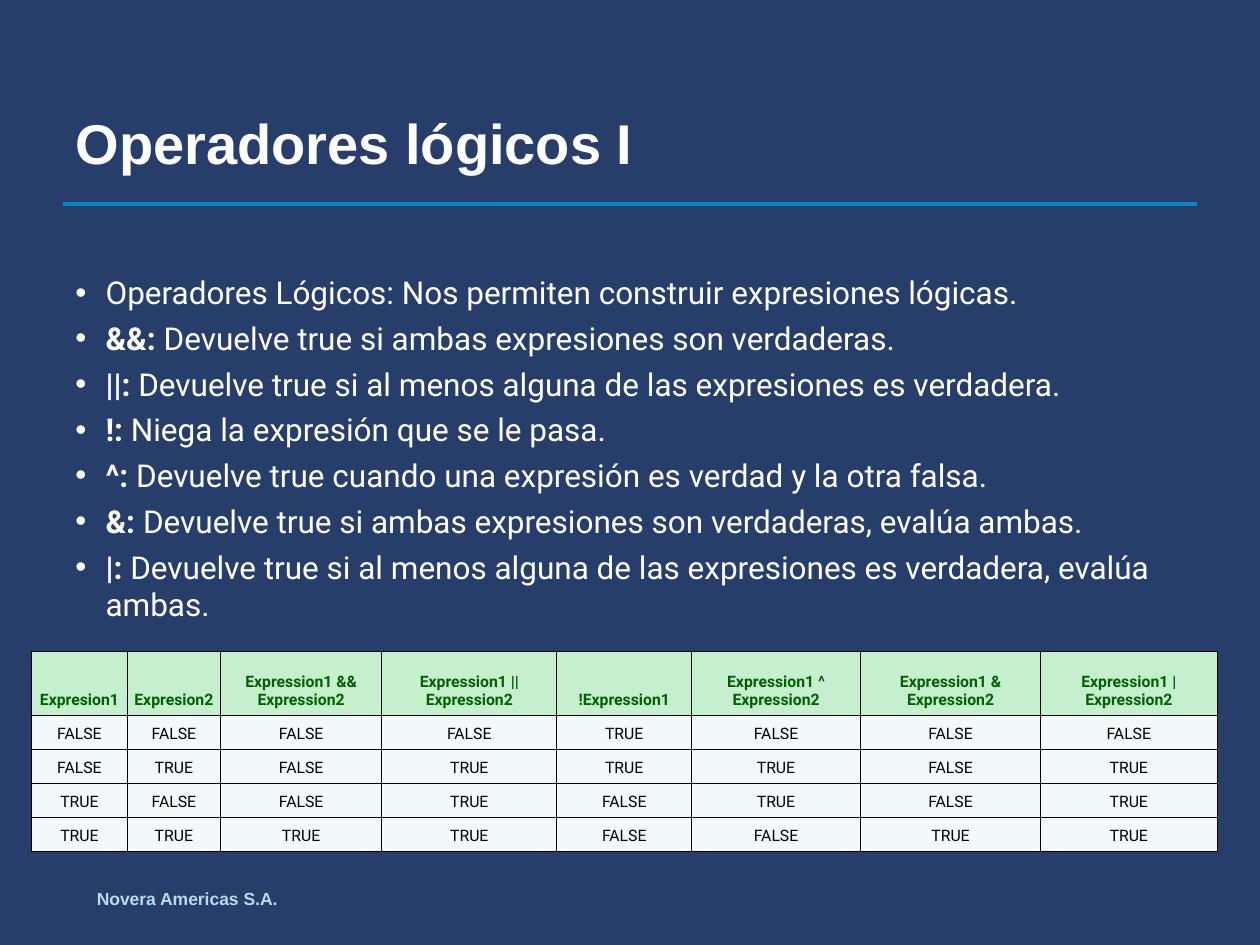
from lxml import etree
from pptx import Presentation
from pptx.dml.color import RGBColor
from pptx.enum import shapes, text
from pptx.oxml import ns
from pptx.util import Inches, Pt

OPERATORS = [
    ("", "Operadores Lógicos: Nos permiten construir expresiones lógicas."),
    ("&&: ", "Devuelve true si ambas expresiones son verdaderas."),
    ("||: ", "Devuelve true si al menos alguna de las expresiones es verdadera."),
    ("!: ", "Niega la expresión que se le pasa."),
    ("^: ", "Devuelve true cuando una expresión es verdad y la otra falsa."),
    ("&: ", "Devuelve true si ambas expresiones son verdaderas, evalúa ambas."),
    ("|: ", "Devuelve true si al menos alguna de las expresiones es verdadera, "
            "evalúa ambas."),
]
HEADERS = ["Expresion1", "Expresion2", "Expression1 && Expression2",
           "Expression1 || Expression2", "!Expression1",
           "Expression1 ^ Expression2", "Expression1 & Expression2",
           "Expression1 | Expression2"]
COL_WIDTHS = [0.76, 0.74, 1.28, 1.39, 1.07, 1.34, 1.43, 1.4]
ROW_HEIGHTS = [0.51] + [0.27] * 4


def rgb(value):
    return RGBColor.from_string(value)


def set_font(font, name, size, color, bold=False):
    font.name, font.size, font.bold = name, Pt(size), bold
    font.color.rgb = rgb(color)


def sub(parent, tag, **attrs):
    return etree.SubElement(parent, ns.qn(tag), attrs)


def add_title(s, title):
    sp = s.shapes.title
    sp.left, sp.top, sp.width, sp.height = map(Inches, (0.5, 0.5, 9, 1.25))
    tf = sp.text_frame
    tf.text = title
    tf.vertical_anchor = text.MSO_ANCHOR.MIDDLE
    p = tf.paragraphs[0]
    p.alignment = text.PP_ALIGN.LEFT
    set_font(p.font, "Arial", 32, "FFFFFF", True)


def add_rule(s):
    line = s.shapes.add_connector(shapes.MSO_CONNECTOR.STRAIGHT, Inches(0.5),
                                  Inches(1.62), Inches(9.5), Inches(1.62))
    line.line.color.rgb = rgb("0089C4")
    line.line.width = Pt(2.25)
    sub(line._element.spPr, "a:effectLst")


def add_text_box(s, left, top, width, height):
    sp = s.shapes.add_textbox(*map(Inches, (left, top, width, height)))
    sp.text_frame.word_wrap = True
    return sp.text_frame


def add_footer(s, label):
    tf = add_text_box(s, 0.67, 7, 5.92, 0.35)
    tf.text = label
    set_font(tf.paragraphs[0].font, "Arial", 10, "B3DCED", True)


def add_bullet(p, indent):
    pPr = p._p.get_or_add_pPr()
    pPr.set("marL", str(Inches(indent)))
    pPr.set("indent", str(-Inches(indent)))
    sub(sub(pPr, "a:buClr"), "a:srgbClr", val="FFFFFF")
    sub(pPr, "a:buFont", typeface="Arial")
    sub(pPr, "a:buChar", char="•")


def add_operators(s):
    tf = add_text_box(s, 0.5, 1.75, 9, 3.28)
    tf.margin_top = Inches(0.42)
    tf.auto_size = text.MSO_AUTO_SIZE.SHAPE_TO_FIT_TEXT
    for i, (symbol, meaning) in enumerate(OPERATORS):
        p = tf.add_paragraph() if i else tf.paragraphs[0]
        p.space_before = Pt(4.5 if i else 0)
        add_bullet(p, 0.24)
        set_font(p.font, "Roboto", 18, "FFFFFF")
        if symbol:
            r = p.add_run()
            r.text = symbol
            r.font.bold = True
        p.add_run().text = meaning


def add_borders(cell):
    """Thin black line on all four sides; must precede the cell's fill."""
    tcPr = cell._tc.get_or_add_tcPr()
    for side in ("L", "R", "T", "B"):
        ln = sub(tcPr, f"a:ln{side}", w=str(Pt(0.45)))
        sub(sub(ln, "a:solidFill"), "a:srgbClr", val="000000")


def format_cell(cell, value, fill, color, bold):
    cell.text = value
    cell.vertical_anchor = text.MSO_ANCHOR.BOTTOM
    cell.margin_left = cell.margin_right = Inches(0.01)
    add_borders(cell)
    cell.fill.solid()
    cell.fill.fore_color.rgb = rgb(fill)
    p = cell.text_frame.paragraphs[0]
    p.alignment = text.PP_ALIGN.CENTER
    set_font(p.font, "Roboto", 9, color, bold)


def truth_rows():
    for a in (False, True):
        for b in (False, True):
            values = (a, b, a and b, a or b, not a, a ^ b, a & b, a | b)
            yield [str(v).upper() for v in values]


def add_truth_table(s):
    table = s.shapes.add_table(
        len(ROW_HEIGHTS), len(COL_WIDTHS), Inches(0.25), Inches(5.17),
        Inches(sum(COL_WIDTHS)), Inches(sum(ROW_HEIGHTS))).table
    for col, width in zip(table.columns, COL_WIDTHS):
        col.width = Inches(width)
    for row, height in zip(table.rows, ROW_HEIGHTS):
        row.height = Inches(height)
    for i, values in enumerate([HEADERS, *truth_rows()]):
        style = ("F3F9FA", "000000", False) if i else ("C6EFCE", "006100", True)
        for j, value in enumerate(values):
            format_cell(table.cell(i, j), value, *style)


def main():
    prs = Presentation()
    prs.slide_width, prs.slide_height = Inches(10), Inches(7.5)
    s = prs.slides.add_slide(prs.slide_layouts[5])
    s.background.fill.solid()
    s.background.fill.fore_color.rgb = rgb("283E6A")
    add_rule(s)
    add_footer(s, "Novera Americas S.A.")
    add_title(s, "Operadores lógicos I")
    add_operators(s)
    add_truth_table(s)
    prs.save("out.pptx")


if __name__ == "__main__":
    main()
